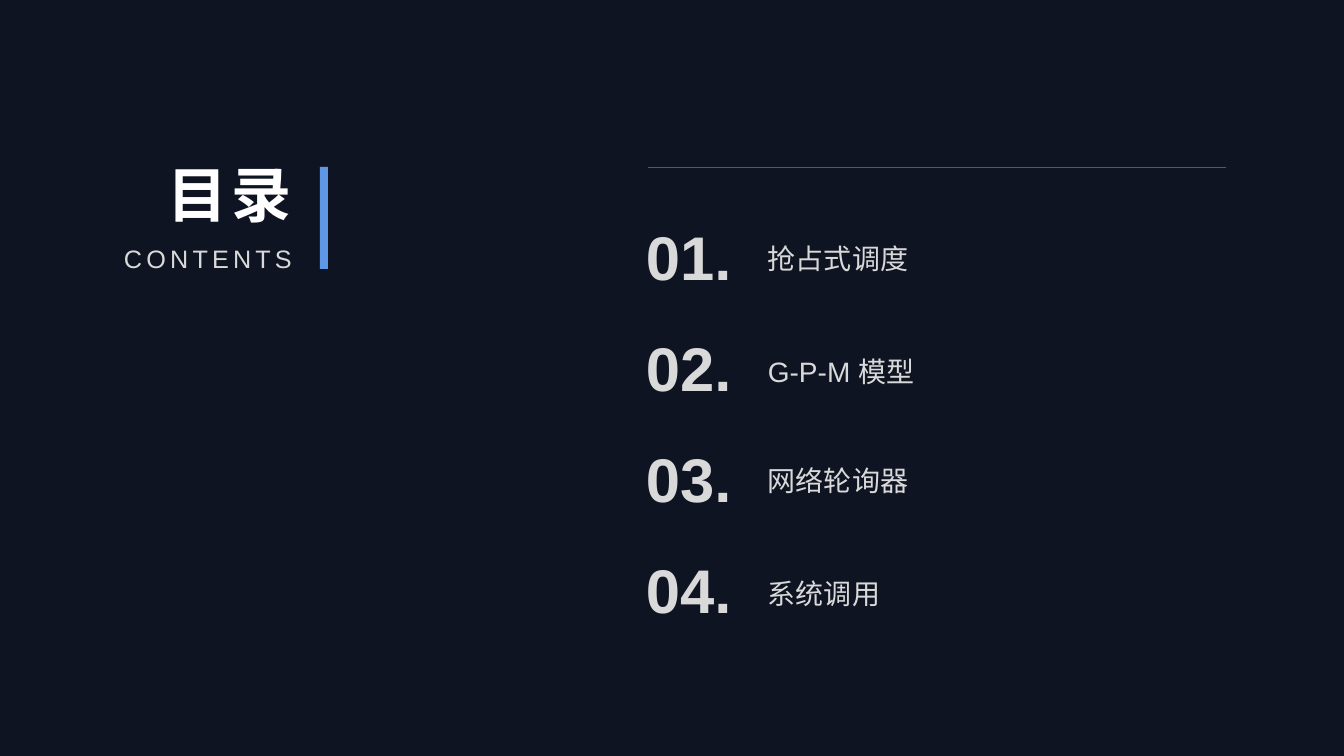
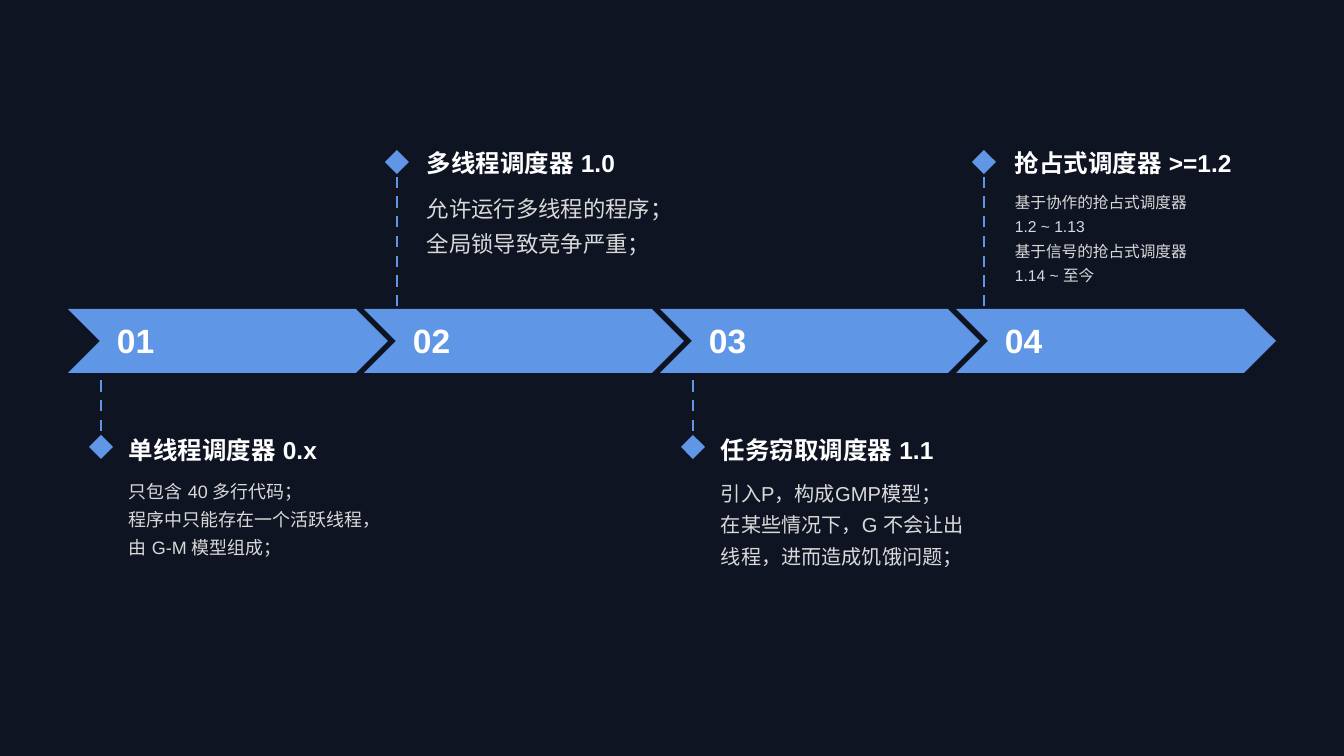
from pptx import Presentation
from pptx import util as u
from pptx.dml.color import RGBColor
from pptx.enum import dml, shapes, text
from pptx.oxml.ns import qn

PX = 9525 * 20 / 21
COLORS = {"background": "0F1423", "accent": "6096E6", "title": "FFFFFF",
          "body": "D9D9D9", "rule": "595959"}
FONT = "Arial"


def add_text(slide, box, lines, size, color, bold=False, align=text.PP_ALIGN.LEFT,
             anchor=text.MSO_ANCHOR.TOP, line_spacing=None, tracking=None):
    frame = slide.shapes.add_textbox(*[round(n * PX) for n in box]).text_frame
    frame.word_wrap = True
    frame.vertical_anchor = anchor
    frame.text = "\n".join(lines)
    for paragraph in frame.paragraphs:
        paragraph.alignment = align
        if line_spacing:
            paragraph.line_spacing = line_spacing
        for run in paragraph.runs:
            run.font.size = u.Pt(size)
            run.font.bold = bold
            run.font.name = FONT
            run.font.color.rgb = RGBColor.from_string(COLORS[color])
            properties = run.font._element
            east_asian = properties.makeelement(qn("a:ea"), {"typeface": FONT})
            properties.find(qn("a:latin")).addnext(east_asian)
            if tracking:
                properties.set("spc", str(tracking * 100))


def add_line(slide, ends, color, width, dash=None):
    line = slide.shapes.add_connector(shapes.MSO_CONNECTOR.STRAIGHT,
                                      *[round(n * PX) for n in ends])
    line.line.color.rgb = RGBColor.from_string(COLORS[color])
    line.line.width = u.Pt(width)
    if dash:
        line.line.dash_style = dash
    properties = line._element.spPr
    properties.append(properties.makeelement(qn("a:effectLst"), {}))


presentation = Presentation()
presentation.slide_width = round(1344 * PX)
presentation.slide_height = round(756 * PX)
contents, timeline = [presentation.slides.add_slide(presentation.slide_layouts[6])
                      for _ in range(2)]
for slide in (contents, timeline):
    slide.background.fill.solid()
    slide.background.fill.fore_color.rgb = RGBColor.from_string(COLORS["background"])

accent_shapes = []

add_text(contents, (98, 153, 204, 85), ["目录"], 42.9, "title", bold=True,
         align=text.PP_ALIGN.RIGHT, tracking=3)
add_text(contents, (98, 238, 204, 40), ["CONTENTS"], 18, "body",
         align=text.PP_ALIGN.RIGHT, tracking=3)
accent_shapes.append(contents.shapes.add_shape(
    shapes.MSO_SHAPE.RECTANGLE, *[round(n * PX) for n in (320, 167, 8, 102)]))
add_line(contents, (648, 167, 1226, 167), "rule", 0.5)

chapters = [("抢占式调度", 1.1), ("G-P-M 模型", 1.2), ("网络轮询器", 1.1), ("系统调用", 1.2)]
for index, (chapter, line_spacing) in enumerate(chapters):
    top = 214 + 111 * index
    add_text(contents, (636, top, 106, 85), [f"{index + 1:02}."], 44, "body", bold=True)
    add_text(contents, (758, top, 468, 85), [chapter], 20, "body",
             anchor=text.MSO_ANCHOR.MIDDLE, line_spacing=line_spacing)

stages = [
    (101, 119, False, "单线程调度器 0.x", 12.8,
     ["只包含 40 多行代码；", "程序中只能存在一个活跃线程，由 G-M 模型组成；"]),
    (397, 417, True, "多线程调度器 1.0", 16,
     ["允许运行多线程的程序；", "全局锁导致竞争严重；"]),
    (693, 711, False, "任务窃取调度器 1.1", 14.4,
     ["引入P，构成GMP模型；", "在某些情况下，G 不会让出线程，进而造成饥饿问题；"]),
    (984, 1005, True, "抢占式调度器 >=1.2", 11.2,
     ["基于协作的抢占式调度器", "1.2 ~ 1.13", "基于信号的抢占式调度器", "1.14 ~ 至今"]),
]
chevron = [(0, 0), (288, 0), (320, 32), (288, 64), (0, 64), (32, 32)]

for index, (marker, text_left, above, heading, size, lines) in enumerate(stages):
    start, end, diamond_top, heading_top = (326, 174, 150, 138) if above else (341, 435, 435, 425)
    add_line(timeline, (marker, start, marker, end), "accent", 2, dml.MSO_LINE.DASH)
    accent_shapes.append(timeline.shapes.add_shape(
        shapes.MSO_SHAPE.DIAMOND, *[round(n * PX) for n in (marker - 12, diamond_top, 24, 24)]))
    add_text(timeline, (text_left, heading_top, 267, 44), [heading], 17.5, "title",
             bold=True, anchor=text.MSO_ANCHOR.BOTTOM)
    add_text(timeline, (text_left, heading_top + 44, 267, 113), lines, size, "body",
             line_spacing=1.3)

    left = 68 + 296 * index
    points = [(left + x, 309 + y) for x, y in chevron]
    builder = timeline.shapes.build_freeform(*points[0], scale=PX)
    builder.add_line_segments(points[1:], close=True)
    accent_shapes.append(builder.convert_to_shape())
    add_text(timeline, (left + 39, 315, 195, 50), [f"{index + 1:02}"], 24, "title",
             bold=True, anchor=text.MSO_ANCHOR.MIDDLE)

for shape in accent_shapes:
    shape.shadow.inherit = False
    shape.fill.solid()
    shape.fill.fore_color.rgb = RGBColor.from_string(COLORS["accent"])
    shape.line.fill.background()

presentation.save("out.pptx")
